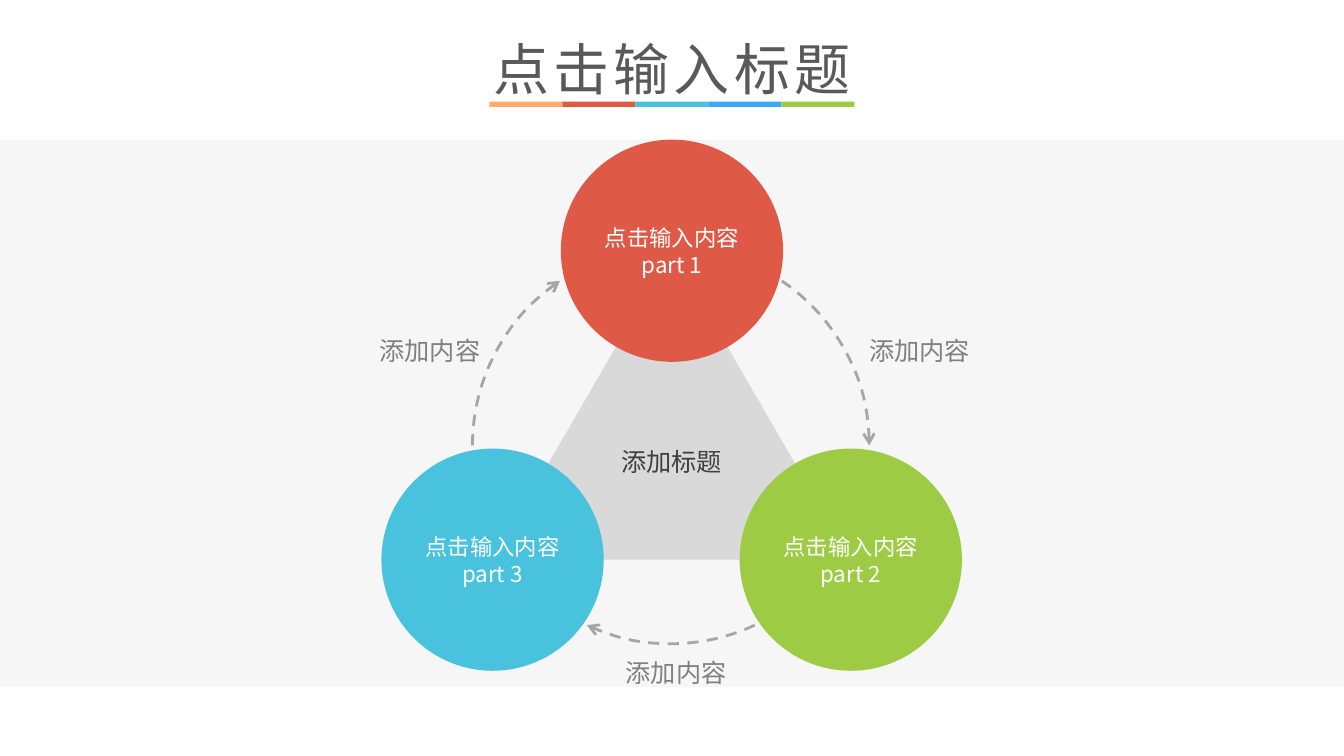
from lxml import etree
from pptx import Presentation
from pptx.dml.color import RGBColor
from pptx.enum.dml import MSO_LINE
from pptx.enum.shapes import MSO_SHAPE
from pptx.enum.text import MSO_ANCHOR, MSO_AUTO_SIZE, PP_ALIGN
from pptx.oxml.ns import qn
from pptx.util import Cm, Pt

RECTANGLE, TRIANGLE = MSO_SHAPE.RECTANGLE, MSO_SHAPE.ISOSCELES_TRIANGLE
OVAL, ARC = MSO_SHAPE.OVAL, MSO_SHAPE.ARC
LEFT, CENTER = PP_ALIGN.LEFT, PP_ALIGN.CENTER
MIDDLE = MSO_ANCHOR.MIDDLE
FIT_SHAPE = MSO_AUTO_SIZE.SHAPE_TO_FIT_TEXT
DASH = MSO_LINE.DASH

TITLE_FONT = "Noto Sans CJK JP"
BODY_FONT = "Noto Sans CJK SC"
RED, CYAN, GREEN = "DF5947", "49C2DD", "9DCB43"
STRIPE_COLORS = ["FFAC6A", RED, CYAN, "3BA9F8", GREEN]

SLIDE_WIDTH, SLIDE_HEIGHT = 25.4, 14.29
CIRCLE_RADIUS = 2.1
TOP_Y, BASE_Y = 4.74, 10.58
LEFT_X, MIDDLE_X, RIGHT_X = 9.31, 12.7, 16.08
ORBIT_X, ORBIT_Y, ORBIT_RADIUS = 12.68, 8.42, 3.75


def color(value):
    return RGBColor.from_string(value)


def write_text(frame, lines, size, text_color, font_name=BODY_FONT,
               alignment=CENTER, spacing=None):
    for index, line in enumerate(lines):
        paragraph = frame.paragraphs[0] if index == 0 else frame.add_paragraph()
        paragraph.text = line
        paragraph.alignment = alignment
        font = paragraph.font
        font.size = Pt(size)
        font.color.rgb = color(text_color)
        font.name = font_name
        # East Asian typeface and letter spacing
        properties = paragraph._p.pPr.find(qn("a:defRPr"))
        east_asian = etree.SubElement(properties, qn("a:ea"))
        east_asian.set("typeface", font_name)
        if spacing:
            properties.set("spc", str(spacing))


def add_filled(slide, kind, left, top, width, height, fill):
    shape = slide.shapes.add_shape(kind, Cm(left), Cm(top), Cm(width), Cm(height))
    shape.shadow.inherit = False
    shape.fill.solid()
    shape.fill.fore_color.rgb = color(fill)
    shape.line.fill.background()
    return shape


def write_inside(shape, lines, size, text_color, bottom_margin=0.1):
    frame = shape.text_frame
    frame.word_wrap = True
    frame.vertical_anchor = MIDDLE
    frame.margin_left = frame.margin_right = Cm(0.18)
    frame.margin_top, frame.margin_bottom = Cm(0.1), Cm(bottom_margin)
    write_text(frame, lines, size, text_color)


def add_circle(slide, center_x, center_y, fill, number):
    diameter = 2 * CIRCLE_RADIUS
    circle = add_filled(slide, OVAL, center_x - CIRCLE_RADIUS,
                        center_y - CIRCLE_RADIUS, diameter, diameter, fill)
    write_inside(circle, ["点击输入内容", f"part {number}"], 12, "FFFFFF")


def add_arc_arrow(slide, start, end):
    """Draw a dashed clockwise arc between two angles in degrees."""
    diameter = Cm(2 * ORBIT_RADIUS)
    arc = slide.shapes.add_shape(ARC, Cm(ORBIT_X - ORBIT_RADIUS),
                                 Cm(ORBIT_Y - ORBIT_RADIUS), diameter, diameter)
    # An adjustment of 0.6 is one degree
    arc.adjustments[0], arc.adjustments[1] = start * 0.6, end * 0.6
    arc.shadow.inherit = False
    arc.fill.background()
    arc.line.color.rgb = color("A6A6A6")
    arc.line.width = Pt(1.5)
    arc.line.dash_style = DASH
    line = arc._element.spPr.find(qn("a:ln"))
    etree.SubElement(line, qn("a:tailEnd")).set("type", "arrow")


def add_text_box(slide, left, top, width, height, text, size, text_color, **style):
    box = slide.shapes.add_textbox(Cm(left), Cm(top), Cm(width), Cm(height))
    box.text_frame.word_wrap = False
    box.text_frame.auto_size = FIT_SHAPE
    write_text(box.text_frame, [text], size, text_color, **style)


def main():
    presentation = Presentation()
    presentation.slide_width = Cm(SLIDE_WIDTH)
    presentation.slide_height = Cm(SLIDE_HEIGHT)
    slide = presentation.slides.add_slide(presentation.slide_layouts[6])

    # Stripes under the title, and the grey band
    for index, fill in enumerate(STRIPE_COLORS):
        add_filled(slide, RECTANGLE, 9.25 + 1.38 * index, 1.92, 1.38, 0.1, fill)
    add_filled(slide, RECTANGLE, 0, 2.64, SLIDE_WIDTH, 10.35, "F6F6F6")

    # Title
    add_text_box(slide, 9, 0.53, 7.41, 1.54, "点击输入标题", 30, "595959",
                 font_name=TITLE_FONT, alignment=CENTER, spacing=220)

    # Triangle joining the circle centres
    triangle = add_filled(slide, TRIANGLE, LEFT_X, TOP_Y, RIGHT_X - LEFT_X,
                          BASE_Y - TOP_Y, "D9D9D9")
    write_inside(triangle, ["添加标题"], 13.5, "404040", bottom_margin=0.89)

    # Circles
    add_circle(slide, MIDDLE_X, TOP_Y, RED, 1)
    add_circle(slide, LEFT_X, BASE_Y, CYAN, 3)
    add_circle(slide, RIGHT_X, BASE_Y, GREEN, 2)

    # Cycle arrows
    for start, end in [(304, 0), (65, 115), (180, 236)]:
        add_arc_arrow(slide, start, end)

    # Arrow labels
    for left, top in [(16.18, 6.22), (11.58, 12.3), (6.93, 6.22)]:
        add_text_box(slide, left, top, 2.44, 0.83, "添加内容", 13.5, "808080",
                     alignment=LEFT)

    presentation.save("out.pptx")


if __name__ == "__main__":
    main()
